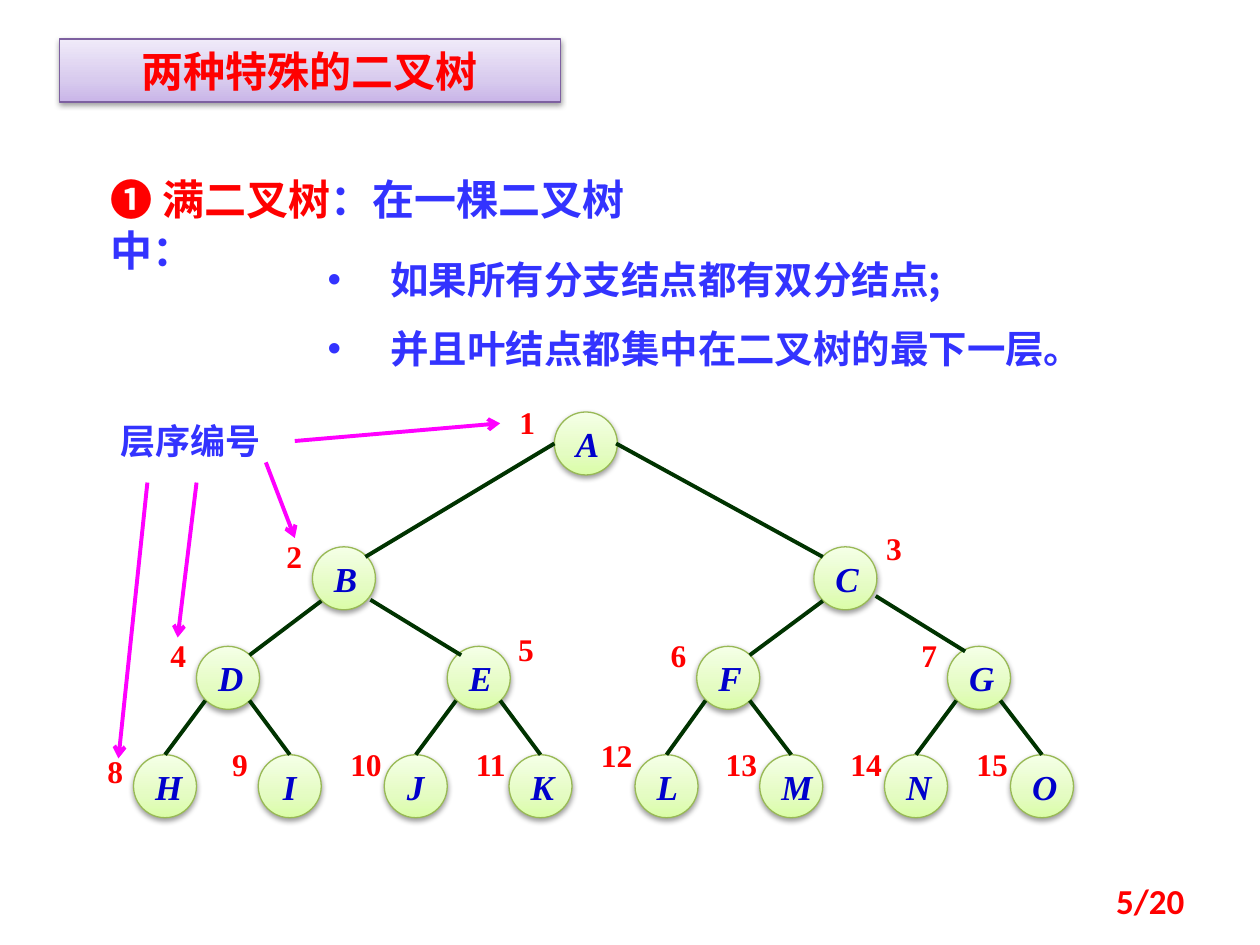
from copy import deepcopy
from typing import NamedTuple

from lxml import etree
from pptx import Presentation, util as u
from pptx.dml.color import RGBColor
from pptx.enum import shapes, text
from pptx.oxml.ns import qn

HUES = {
    "red": "FF0000", "blue": "3333FF", "navy": "0000CC", "edge": "003300",
    "pink": "FF00FF", "leaf": "98B955", "plum": "7D60A0", "black": "000000",
}
GREEN = ("DAFDA7", "E4FCC2", "F5FFE7")
LILAC = ("C9B5E8", "D8CBEE", "F0EAF9")
SANS, SERIF = "Noto Sans CJK SC", "Times New Roman"
SIZE = 0.5


class Point(NamedTuple):
    x: float
    y: float

    def move(self, dx: float, dy: float) -> "Point":
        return Point(self.x + dx, self.y + dy)


class Node(NamedTuple):
    num: int
    name: str
    at: Point
    tag: Point


class Join(NamedTuple):
    start: Point
    end: Point


class Style(NamedTuple):
    size: float
    face: str
    hue: str
    bold: bool = True
    slant: bool = False


HEAD = Style(24, SANS, "red")
LEAD = Style(24, SANS, "blue")
ITEM = Style(22, SANS, "blue")
NOTE = Style(20, SANS, "blue")
NAME = Style(20, SERIF, "navy", slant=True)
RANK = Style(18, SERIF, "red")
PAGE = Style(20, "Calibri", "red")

ROWS = [(4.40, 0, 3.27), (2.48, 3.98, 4.34), (1.56, 1.987, 5.13), (1.06, 0.994, 5.99)]
TAGS = {
    1: Point(-0.43, -0.07), 3: Point(0.42, -0.14), 5: Point(0.41, -0.13),
    8: Point(-0.36, -0.02), 12: Point(-0.36, -0.15),
}
JOINS = [
    (Join(Point(0, 0.25), Point(0.42, 0.08)), Join(Point(0.49, 0.25), Point(0.07, 0.08))),
    (Join(Point(0.07, 0.43), Point(0.42, 0.07)), Join(Point(0.46, 0.42), Point(0.11, 0.07))),
    (Join(Point(0.07, 0.43), Point(0.25, 0)), Join(Point(0.42, 0.43), Point(0.25, 0))),
]
ODD = {7: Join(Point(0.49, 0.39), Point(0.14, 0.04))}
ARROWS = [
    Join(Point(2.34, 3.5), Point(3.97, 3.36)),
    Join(Point(2.11, 3.67), Point(2.34, 4.27)),
    Join(Point(1.56, 3.83), Point(1.41, 5.06)),
    Join(Point(1.17, 3.83), Point(0.94, 6.02)),
]


def color(hue: str) -> RGBColor:
    return RGBColor.from_string(HUES[hue])


def format_run(run, style: Style) -> None:
    font = run.font
    font.size, font.name = u.Pt(style.size), style.face
    font.bold, font.italic = style.bold, style.slant
    font.color.rgb = color(style.hue)
    if style.face == SANS:
        etree.SubElement(run.font._element, qn("a:ea"), typeface=SANS)


def write(frame, words: str, style: Style, align=text.PP_ALIGN.LEFT) -> None:
    frame.text = words
    for para in frame.paragraphs:
        para.alignment = align
        for run in para.runs:
            format_run(run, style)


def place(shape, left: float, top: float, width: float, height: float) -> None:
    shape.left, shape.top = u.Inches(left), u.Inches(top)
    shape.width, shape.height = u.Inches(width), u.Inches(height)


def add_box(slide, left: float, top: float, width: float, height: float):
    box = slide.shapes.add_textbox(*map(u.Inches, (left, top, width, height)))
    box.text_frame.word_wrap = True
    return box.text_frame


def paint(shape, tints: tuple[str, ...], rim: str) -> None:
    shape.fill.gradient()
    shape.fill.gradient_angle = 90
    stops = shape.element.spPr.find(".//" + qn("a:gsLst"))
    stops.append(deepcopy(stops[-1]))
    for stop, tint, spot in zip(shape.fill.gradient_stops, tints, (0, 0.35, 1)):
        stop.color.rgb = RGBColor.from_string(tint)
        stop.position = spot
    shape.line.color.rgb = color(rim)
    shape.line.width = u.Pt(0.75)
    shape.shadow.inherit = False
    effects = shape.element.spPr.find(qn("a:effectLst"))
    shade = etree.SubElement(effects, qn("a:outerShdw"), blurRad="40000",
                             dist="20000", dir="5400000", rotWithShape="0")
    tone = etree.SubElement(shade, qn("a:srgbClr"), val=HUES["black"])
    etree.SubElement(tone, qn("a:alpha"), val="38000")


def draw_line(slide, join: Join, hue: str, arrow: bool = False) -> None:
    ends = map(u.Inches, (*join.start, *join.end))
    line = slide.shapes.add_connector(shapes.MSO_CONNECTOR.STRAIGHT, *ends)
    line.line.color.rgb = color(hue)
    line.line.width = u.Pt(2.25)
    if arrow:
        etree.SubElement(line.line._get_or_add_ln(), qn("a:tailEnd"), type="arrow")
    etree.SubElement(line.element.spPr, qn("a:effectLst"))


def draw_node(slide, node: Node) -> None:
    disc = slide.shapes.add_shape(
        shapes.MSO_SHAPE.OVAL, *map(u.Inches, (*node.at, SIZE, SIZE)))
    paint(disc, GREEN, "leaf")
    disc.text_frame.vertical_anchor = text.MSO_ANCHOR.MIDDLE
    write(disc.text_frame, node.name, NAME, text.PP_ALIGN.CENTER)
    tag = add_box(slide, *node.at.move(*node.tag), 0.43, 0.31)
    tag.margin_left = tag.margin_right = tag.margin_top = tag.margin_bottom = 0
    write(tag, str(node.num), RANK, text.PP_ALIGN.CENTER)


def draw_tree(slide) -> None:
    nodes = {}
    for row, (left, step, top) in enumerate(ROWS):
        for col in range(2 ** row):
            num = 2 ** row + col
            tag = TAGS.get(num, Point(-0.36, -0.08))
            at = Point(round(left + step * col, 2), top)
            nodes[num] = Node(num, "ABCDEFGHIJKLMNO"[num - 1], at, tag)
            draw_node(slide, nodes[num])
    for num in range(2, len(nodes) + 1):
        row = num.bit_length() - 2
        join = ODD.get(num, JOINS[row][num % 2])
        ends = Join(nodes[num // 2].at.move(*join.start), nodes[num].at.move(*join.end))
        draw_line(slide, ends, "edge")


def draw_text(slide) -> None:
    title, body = slide.shapes.title, slide.placeholders[1]
    place(title, 0.47, 0.31, 3.98, 0.5)
    paint(title, LILAC, "plum")
    write(title.text_frame, "两种特殊的二叉树", HEAD, text.PP_ALIGN.CENTER)
    title.text_frame.auto_size = text.MSO_AUTO_SIZE.NONE

    place(body, 2.5, 1.8, 6.48, 1.21)
    write(body.text_frame, "如果所有分支结点都有双分结点;\n并且叶结点都集中在二叉树的最下一层。", ITEM)
    body.text_frame.auto_size = text.MSO_AUTO_SIZE.NONE
    for para in body.text_frame.paragraphs:
        para.line_spacing, para.space_before = 1.5, u.Pt(0)
        props = para._p.get_or_add_pPr()
        props.set("marL", str(u.Inches(0.5)))
        props.set("indent", str(u.Inches(-0.5)))
        etree.SubElement(props, qn("a:buChar"), char="•")

    lead = add_box(slide, 0.78, 1.33, 5.55, 0.5)
    lead.margin_right = u.Inches(1.2)
    write(lead, "❶ 满二叉树", HEAD)
    rest = lead.paragraphs[0].add_run()
    rest.text = "：在一棵二叉树中："
    format_run(rest, LEAD)

    write(add_box(slide, 0.86, 3.28, 1.48, 0.44), "层序编号", NOTE)
    page = add_box(slide, 7.17, 6.95, 2.33, 0.4)
    page.vertical_anchor = text.MSO_ANCHOR.MIDDLE
    write(page, "5/20", PAGE, text.PP_ALIGN.RIGHT)


def main() -> None:
    deck = Presentation()
    deck.slide_width, deck.slide_height = u.Inches(10), u.Inches(7.5)
    slide = deck.slides.add_slide(deck.slide_layouts[1])
    draw_text(slide)
    draw_tree(slide)
    for arrow in ARROWS:
        draw_line(slide, arrow, "pink", arrow=True)
    deck.save("out.pptx")


if __name__ == "__main__":
    main()
